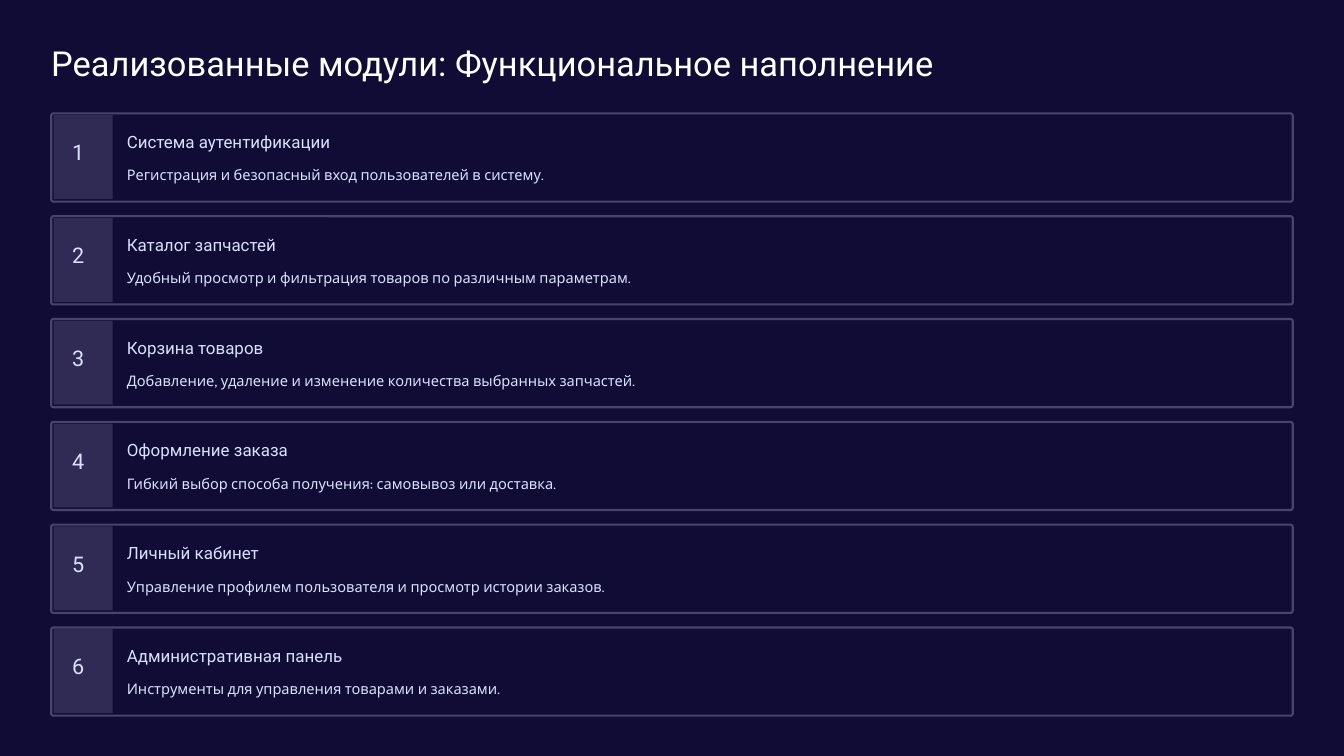
from dataclasses import dataclass

from pptx import Presentation
from pptx import util as u
from pptx.dml.color import RGBColor
from pptx.enum import shapes, text

COLOURS = {
    "night": "100C35",
    "border": "48446D",
    "number": "2F2B54",
    "title": "FFFFFF",
    "body": "D9E1FF",
}


@dataclass(frozen=True)
class TextStyle:
    font: str
    size: float
    line: float
    colour: str


@dataclass(frozen=True)
class Module:
    name: str
    summary: str


TITLE = TextStyle("Roboto", 29.5, 37, "title")
NUMBER = TextStyle("Roboto", 18.5, 18.5, "body")
HEADING = TextStyle("Roboto", 14.5, 18.5, "body")
SUMMARY = TextStyle("Karla", 12.5, 20, "body")

FRAME_FORMAT = {
    "margin_left": 0,
    "margin_top": 0,
    "margin_right": 0,
    "margin_bottom": 0,
    "word_wrap": False,
    "auto_size": text.MSO_AUTO_SIZE.NONE,
    "vertical_anchor": text.MSO_ANCHOR.TOP,
}

MODULES = [
    Module("Система аутентификации",
           "Регистрация и безопасный вход пользователей в систему."),
    Module("Каталог запчастей",
           "Удобный просмотр и фильтрация товаров по различным параметрам."),
    Module("Корзина товаров",
           "Добавление, удаление и изменение количества выбранных запчастей."),
    Module("Оформление заказа",
           "Гибкий выбор способа получения: самовывоз или доставка."),
    Module("Личный кабинет",
           "Управление профилем пользователя и просмотр истории заказов."),
    Module("Административная панель",
           "Инструменты для управления товарами и заказами."),
]

LEFT, WIDTH, CARD_HEIGHT = 0.61, 14.78, 1.05
FIRST_TOP, LAST_TOP = 1.35, 7.47
PITCH = (LAST_TOP - FIRST_TOP) / (len(MODULES) - 1)


def colour(name: str) -> RGBColor:
    return RGBColor.from_string(COLOURS[name])


def write(box, content: str, style: TextStyle) -> None:
    frame = box.text_frame
    for name, value in FRAME_FORMAT.items():
        setattr(frame, name, value)
    para = frame.paragraphs[0]
    para.alignment = text.PP_ALIGN.LEFT
    para.line_spacing = u.Pt(style.line)
    span = para.add_run()
    span.text = content
    span.font.name = style.font
    span.font.size = u.Pt(style.size)
    span.font.color.rgb = colour(style.colour)


def add_text(page, left: float, top: float, width: float, height: float,
             content: str, style: TextStyle) -> None:
    box = page.shapes.add_textbox(*map(u.Inches, (left, top, width, height)))
    write(box, content, style)


def add_block(page, kind, left: float, top: float, width: float,
              height: float, fill: str):
    block = page.shapes.add_shape(
        kind, *map(u.Inches, (left, top, width, height)))
    block.shadow.inherit = False
    block.fill.solid()
    block.fill.fore_color.rgb = colour(fill)
    block.line.fill.background()
    return block


def add_module(page, number: int, module: Module) -> None:
    top = FIRST_TOP + (number - 1) * PITCH
    card = add_block(page, shapes.MSO_SHAPE.ROUNDED_RECTANGLE,
                     LEFT, top, WIDTH, CARD_HEIGHT, "night")
    card.adjustments[0] = 0.025
    card.line.color.rgb = colour("border")
    card.line.width = u.Pt(1.8)
    add_block(page, shapes.MSO_SHAPE.RECTANGLE,
              LEFT + 0.03, top + 0.02, 0.7, 1, "number")
    add_text(page, 0.86, top + 0.36, 0.26, 0.33, str(number), NUMBER)
    add_text(page, 1.51, top + 0.2, 2.7, 0.26, module.name, HEADING)
    add_text(page, 1.51, top + 0.56, 13.68, 0.28, module.summary, SUMMARY)


def main() -> None:
    deck = Presentation()
    deck.slide_width, deck.slide_height = u.Inches(16), u.Inches(9)
    page = deck.slides.add_slide(deck.slide_layouts.get_by_name("Title Only"))
    page.background.fill.solid()
    page.background.fill.fore_color.rgb = colour("night")

    title = page.shapes.title
    title.left, title.top = u.Inches(LEFT), u.Inches(0.48)
    title.width, title.height = u.Inches(10.98), u.Inches(0.51)
    write(title, "Реализованные модули: Функциональное наполнение", TITLE)

    for number, module in enumerate(MODULES, start=1):
        add_module(page, number, module)
    deck.save("out.pptx")


if __name__ == "__main__":
    main()
